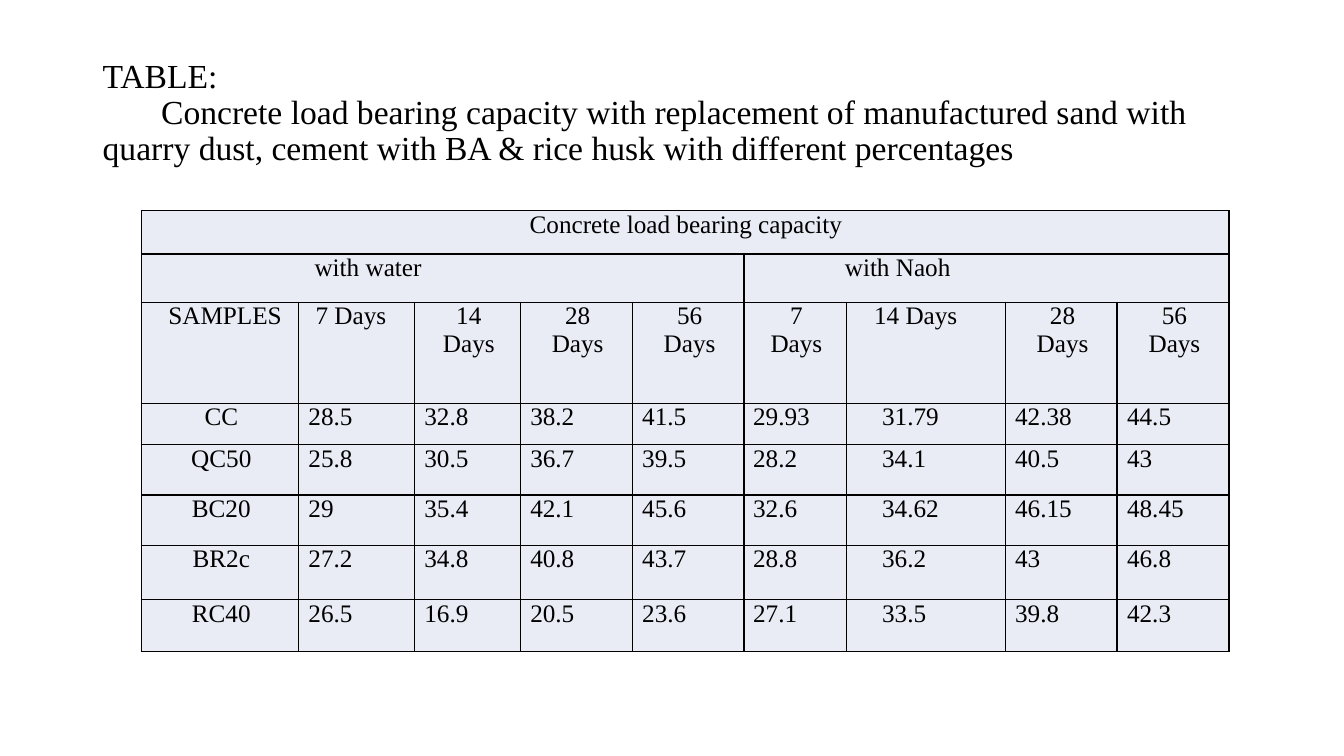
from lxml import etree
from pptx import Presentation
from pptx.dml.color import RGBColor
from pptx.enum.text import MSO_ANCHOR, PP_ALIGN
from pptx.oxml.ns import qn
from pptx.util import Pt

EMU_PER_PX = 9144
BLACK = RGBColor(0x00, 0x00, 0x00)
CELL_FILL = RGBColor(0xE9, 0xEB, 0xF5)
FONT_NAME = "Times New Roman"
CENTER = PP_ALIGN.CENTER
LEFT = PP_ALIGN.LEFT
MIDDLE = MSO_ANCHOR.MIDDLE

COLUMN_WIDTHS = [156, 115, 105, 111, 111, 102, 157, 111, 111]
ROW_HEIGHTS = [43, 48, 100, 41, 50, 50, 54, 51]
DATA_MARGINS = [3, 3, 3, 3, 3, 2, 28, 3, 3]
SPANS = [
    (0, 0, 8, "Concrete load bearing capacity", CENTER, 2),
    (1, 0, 4, "with water", LEFT, 165),
    (1, 5, 8, "with Naoh", LEFT, 93),
]
HEADERS = [
    (["SAMPLES"], LEFT, 25, -5),
    (["7 Days"], LEFT, 11, -1),
    (["14", "Days"], CENTER, 3, 0),
    (["28", "Days"], CENTER, 3, 0),
    (["56", "Days"], CENTER, 3, 0),
    (["7", "Days"], CENTER, 2, 0),
    (["14 Days"], LEFT, 25, -5),
    (["28", "Days"], CENTER, 3, 0),
    (["56", "Days"], CENTER, 3, 0),
]
SAMPLES = [
    ["CC", "28.5", "32.8", "38.2", "41.5", "29.93", "31.79", "42.38", "44.5"],
    ["QC50", "25.8", "30.5", "36.7", "39.5", "28.2", "34.1", "40.5", "43"],
    ["BC20", "29", "35.4", "42.1", "45.6", "32.6", "34.62", "46.15", "48.45"],
    ["BR2c", "27.2", "34.8", "40.8", "43.7", "28.8", "36.2", "43", "46.8"],
    ["RC40", "26.5", "16.9", "20.5", "23.6", "27.1", "33.5", "39.8", "42.3"],
]


def px(length):
    return length * EMU_PER_PX


def write_lines(text_frame, lines, size, alignment=LEFT, margin=0, indent=0):
    for index, line in enumerate(lines):
        paragraph = text_frame.add_paragraph() if index else text_frame.paragraphs[0]
        paragraph.text = line
        paragraph.alignment = alignment
        paragraph.font.name = FONT_NAME
        paragraph.font.size = Pt(size)
        paragraph.font.color.rgb = BLACK
        properties = paragraph._p.get_or_add_pPr()
        properties.set("marL", str(px(margin)))
        properties.set("indent", str(px(indent)))


def add_title(slide):
    text_frame = slide.shapes.add_textbox(px(92), px(40), px(1150), px(145)).text_frame
    text_frame.word_wrap = True
    text_frame.vertical_anchor = MIDDLE
    write_lines(text_frame, ["TABLE:"], 24)
    description = text_frame.add_paragraph()
    description.text = (
        "Concrete load bearing capacity with replacement of manufactured sand "
        "with quarry dust, cement with BA & rice husk with different percentages"
    )
    description.font.name = FONT_NAME
    description.font.size = Pt(24)
    description.font.color.rgb = BLACK
    description._p.get_or_add_pPr().set("indent", str(px(58)))
    for paragraph in text_frame.paragraphs:
        paragraph.line_spacing = 0.9


def style_cell(cell):
    cell.margin_left = cell.margin_right = px(7)
    cell.margin_top = cell.margin_bottom = 0
    cell.fill.solid()
    cell.fill.fore_color.rgb = CELL_FILL
    properties = cell._tc.get_or_add_tcPr()
    for index, side in enumerate(("a:lnL", "a:lnR", "a:lnT", "a:lnB")):
        border = etree.Element(qn(side), w=str(Pt(1)))
        fill = etree.SubElement(border, qn("a:solidFill"))
        etree.SubElement(fill, qn("a:srgbClr"), val=str(BLACK))
        properties.insert(index, border)


def add_capacity_table(slide):
    table = slide.shapes.add_table(
        len(ROW_HEIGHTS), len(COLUMN_WIDTHS), px(140), px(209),
        px(sum(COLUMN_WIDTHS)), px(sum(ROW_HEIGHTS)),
    ).table
    table.first_row = False
    table.horz_banding = False
    for column, width in zip(table.columns, COLUMN_WIDTHS):
        column.width = px(width)
    for row, height in zip(table.rows, ROW_HEIGHTS):
        row.height = px(height)
    for cell in table.iter_cells():
        style_cell(cell)

    for row, first, last, text, alignment, margin in SPANS:
        cell = table.cell(row, first)
        cell.merge(table.cell(row, last))
        write_lines(cell.text_frame, [text], 18, alignment, margin)
    for column, (lines, alignment, margin, indent) in enumerate(HEADERS):
        write_lines(table.cell(2, column).text_frame, lines, 18, alignment, margin, indent)
    for row, values in enumerate(SAMPLES, start=3):
        for column, (value, margin) in enumerate(zip(values, DATA_MARGINS)):
            alignment = LEFT if column else CENTER
            write_lines(table.cell(row, column).text_frame, [value], 18, alignment, margin)


def main():
    presentation = Presentation()
    presentation.slide_width = px(1333)
    presentation.slide_height = px(750)
    slide = presentation.slides.add_slide(presentation.slide_layouts[6])
    add_title(slide)
    add_capacity_table(slide)
    presentation.save("out.pptx")


if __name__ == "__main__":
    main()
